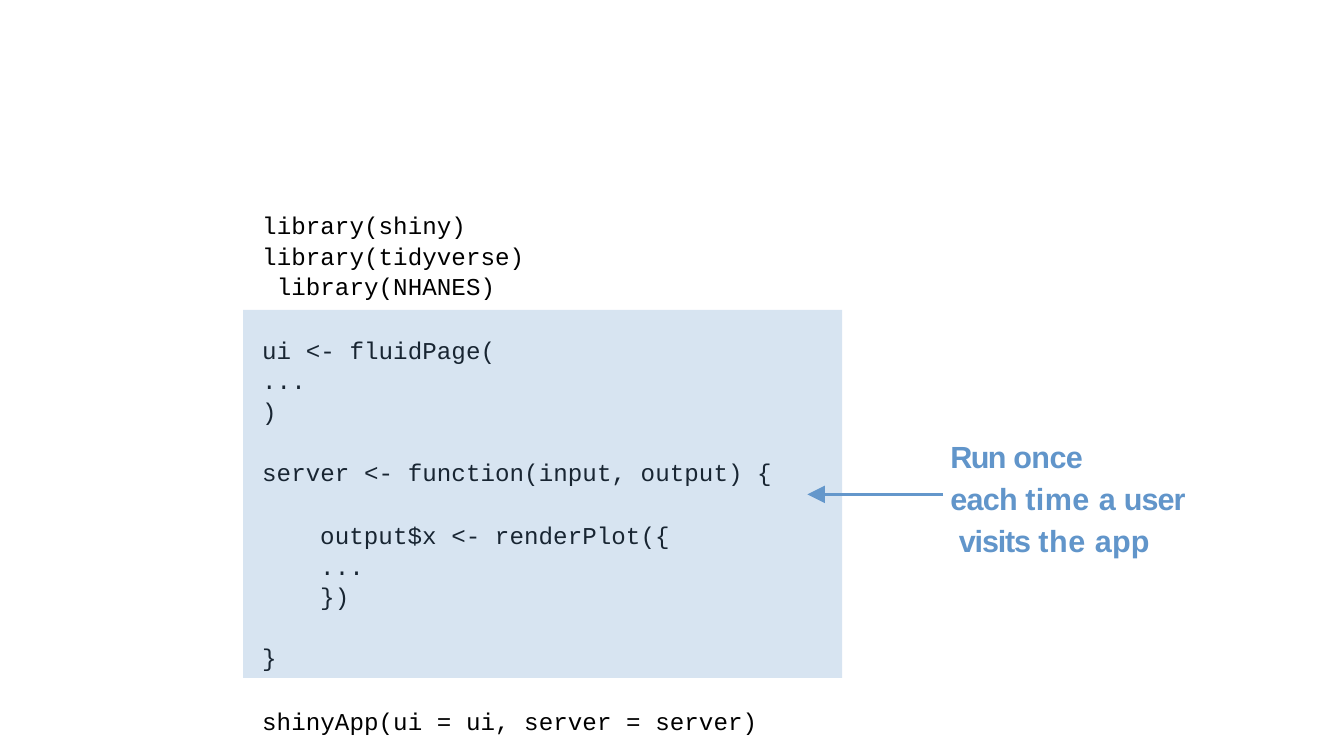
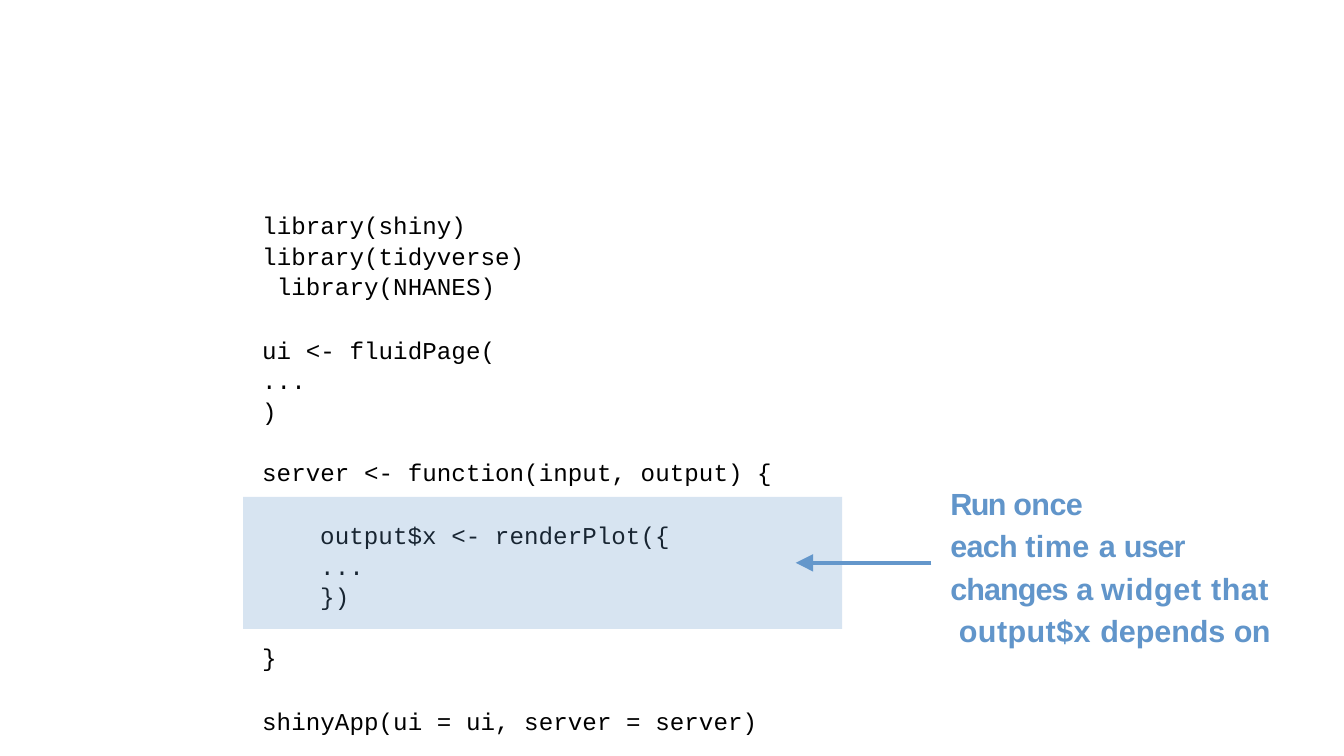
from lxml.etree import SubElement
from pptx import Presentation
from pptx.dml.color import RGBColor
from pptx.enum.shapes import MSO_CONNECTOR, MSO_SHAPE
from pptx.enum.text import MSO_ANCHOR, MSO_AUTO_SIZE, PP_ALIGN
from pptx.oxml.ns import qn
from pptx.util import Inches, Pt

# Each callout line is a list of (words, letter spacing in points)
START = [
    [("Run ", -1.9), ("once", -0.7)],
    [("each ", -0.9), ("time ", 0.5), ("a ", -0.6), ("user", -1.1)],
]
VISIT = START + [[("visits ", -1.4), ("the ", 0.6), ("app", 0.3)]]
CHANGE = START + [
    [("changes ", -1.1), ("a ", -0.6), ("widget ", 0.8), ("that", 0.6)],
    [("output$x ", 0.5), ("depends ", -0.1), ("on", -0.6)],
]

# Code blocks: left, top, width, height, gap between lines in points, lines
CODE = [
    (4.29, 5.48, 4.5, 1.46, 2.1, ["ui <- fluidPage(", "...", ")"]),
    (4.29, 7.48, 8.8, 0.47, 0, ["server <- function(input, output) {"]),
    (5.24, 8.51, 6.2, 1.46, 2.1, ["output$x <- renderPlot({", "...", "})"]),
    (4.29, 10.51, 8.5, 1.47, 41, ["}", "shinyApp(ui = ui, server = server)"]),
]
LIBS = ["library(shiny)", "library(tidyverse)", " library(NHANES)"]


def color(text):
    return RGBColor.from_string(text)


class Deck:
    MONO, SANS = "Courier New", "Arial"
    INK, TINT, LINE, NOTE = "000000", "6296CA", "6497CB", "6195CA"

    def __init__(self):
        self.prs = Presentation()
        self.prs.slide_width = Inches(21.99)
        self.prs.slide_height = Inches(12.37)

    def add(self):
        self.slide = self.prs.slides.add_slide(self.prs.slide_layouts[5])

    def frame(self, shape):
        """Plain text frame: no margins, top anchored."""
        frame = shape.text_frame
        frame.margin_left = frame.margin_right = 0
        frame.margin_top = frame.margin_bottom = 0
        frame.vertical_anchor = MSO_ANCHOR.TOP
        frame.auto_size = MSO_AUTO_SIZE.NONE
        frame.word_wrap = True
        return frame

    def box(self, left, top, width, height):
        return self.frame(self.slide.shapes.add_textbox(
            Inches(left), Inches(top), Inches(width), Inches(height)))

    def fill(self, frame, lines, face, size, ink, bold=False):
        """Write one paragraph per line of (words, spacing) pairs."""
        for i, line in enumerate(lines):
            para = frame.add_paragraph() if i else frame.paragraphs[0]
            para.alignment = PP_ALIGN.LEFT
            font = para.font
            font.name, font.size, font.bold = face, Pt(size), bold
            font.color.rgb = color(ink)
            for words, space in line:
                run = para.add_run()
                run.text = words
                run._r.get_or_add_rPr().set("spc", str(round(space * 100)))

    def code(self, frame, lines, gap=0):
        self.fill(frame, [[(line, 0.1)] for line in lines],
                  self.MONO, 28.5, self.INK)
        for para in frame.paragraphs[1:]:
            para.space_before = Pt(gap)

    def title(self, lines):
        shape = self.slide.shapes.title
        shape.left, shape.top = Inches(4.29), Inches(3.41)
        shape.width, shape.height = Inches(4.6), Inches(1.52)
        frame = self.frame(shape)
        self.code(frame, lines)
        for para in frame.paragraphs:
            para.line_spacing = 1.06

    def band(self, top, height):
        """Translucent highlight over the code."""
        shape = self.slide.shapes.add_shape(
            MSO_SHAPE.RECTANGLE, Inches(3.98), Inches(top),
            Inches(9.8), Inches(height))
        shape.shadow.inherit = False
        shape.line.fill.background()
        shape.fill.solid()
        shape.fill.fore_color.rgb = color(self.TINT)
        tint = next(shape._element.spPr.iter(qn("a:srgbClr")))
        SubElement(tint, qn("a:alpha"), val="25000")

    def arrow(self, start, end, y):
        link = self.slide.shapes.add_connector(
            MSO_CONNECTOR.STRAIGHT, Inches(start), Inches(y),
            Inches(end), Inches(y))
        link.line.width = Pt(4.12)
        link.line.color.rgb = color(self.LINE)
        SubElement(link.line._get_or_add_ln(), qn("a:tailEnd"),
                   type="triangle", w="lg", len="lg")
        SubElement(link._element.spPr, qn("a:effectLst"))

    def note(self, top, lines):
        frame = self.box(15.55, top, 5.8, 0.7 * len(lines))
        self.fill(frame, lines, self.SANS, 36, self.NOTE, True)
        for para in frame.paragraphs[1:]:
            para.line_spacing = 1.15
        # The last line is set in slightly
        frame.paragraphs[-1]._p.get_or_add_pPr().set(
            "marL", str(Inches(0.14)))


def main():
    deck = Deck()
    # Band top and height, arrow start, end and y, callout top and lines
    for band, arrow, note in [
        ((5.07, 6.02), (15.43, 13.21, 8.09), (7.16, VISIT)),
        ((8.13, 2.16), (15.24, 13.02, 9.21), (7.94, CHANGE)),
    ]:
        deck.add()
        deck.title(LIBS)
        for *place, gap, lines in CODE:
            deck.code(deck.box(*place), lines, gap)
        deck.band(*band)
        deck.arrow(*arrow)
        deck.note(*note)
    deck.prs.save("out.pptx")


if __name__ == "__main__":
    main()
